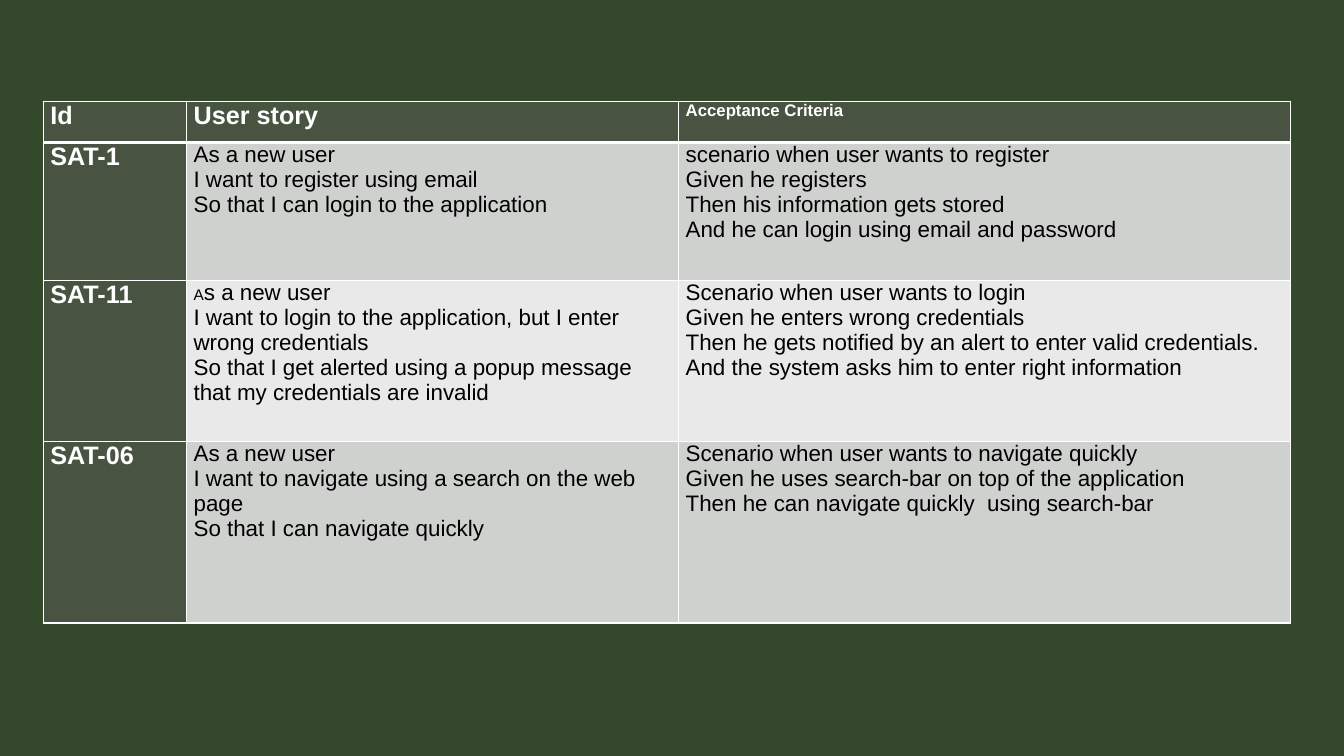
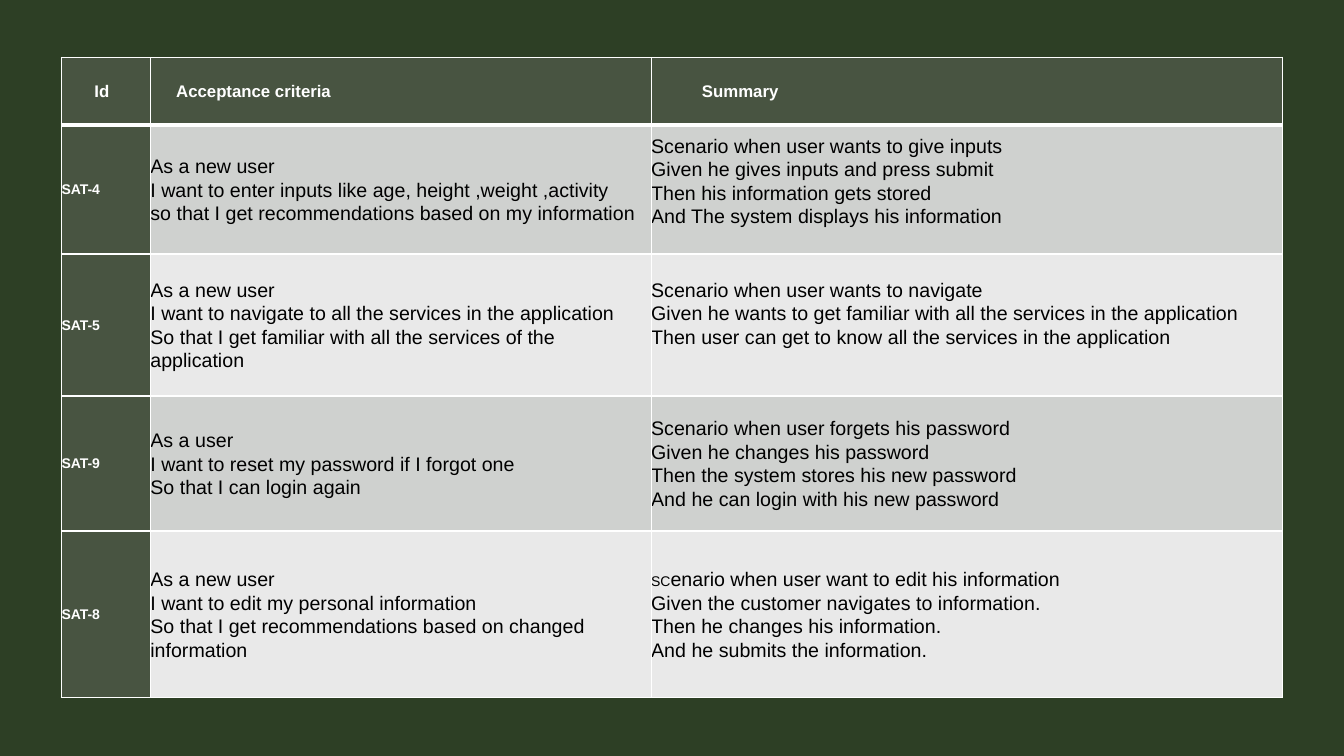
from itertools import product

from lxml.etree import SubElement
from pptx import Presentation
from pptx.dml.color import RGBColor
from pptx.enum.text import MSO_VERTICAL_ANCHOR as Anchor
from pptx.oxml.ns import qn
from pptx.util import Cm, Pt

FONT = "Arial"
WHITE = "FFFFFF"
BLACK = "000000"
DARK = "485441"
BANDS = ("CFD1CF", "E9E9E9")
THIN, THICK = 1, 3


def color(hex_value):
    return RGBColor.from_string(hex_value)


def set_all(target, values):
    for name, value in values.items():
        setattr(target, name, value)


class StoryDeck:
    def __init__(self):
        self.presentation = Presentation()
        set_all(self.presentation, {"slide_width": Cm(33.87), "slide_height": Cm(19.05)})
        self.slide = None

    def add_slide(self, background):
        self.slide = self.presentation.slides.add_slide(self.presentation.slide_layouts[6])
        fill = self.slide.background.fill
        fill.solid()
        fill.fore_color.rgb = color(background)

    def add_run(self, paragraph, text, size, bold, text_color):
        run = paragraph.add_run()
        run.text = text
        set_all(run.font, {"name": FONT, "size": Pt(size), "bold": bold})
        run.font.color.rgb = color(text_color)

    def add_text(self, cell, lines, size, prefix_size, bold, text_color, line_spacing):
        for index, line in enumerate(lines):
            frame = cell.text_frame
            paragraph = frame.add_paragraph() if index else frame.paragraphs[0]
            paragraph.line_spacing = line_spacing
            prefix, text = line if isinstance(line, tuple) else ("", line)
            if prefix:
                self.add_run(paragraph, prefix, prefix_size, bold, text_color)
            self.add_run(paragraph, text, size, bold, text_color)

    def add_borders(self, cell, top, bottom):
        properties = cell._tc.get_or_add_tcPr()
        widths = {"a:lnL": THIN, "a:lnR": THIN, "a:lnT": top, "a:lnB": bottom}
        for index, (tag, width) in enumerate(widths.items()):
            line = SubElement(properties, qn(tag), w=str(Pt(width)))
            fill = SubElement(line, qn("a:solidFill"))
            SubElement(fill, qn("a:srgbClr"), val=WHITE)
            properties.insert(index, line)

    def add_table(self, rows, left, top, widths, heights, sizes, header_sizes,
                  margins, cell_format, line_spacing=1.0):
        frame = self.slide.shapes.add_table(
            len(rows), len(widths), Cm(left), Cm(top), Cm(sum(widths)), Cm(sum(heights)))
        table = frame.table
        set_all(table, {"first_row": False, "horz_banding": False})
        for column, width in zip(table.columns, widths):
            column.width = Cm(width)
        for row, height in zip(table.rows, heights):
            row.height = Cm(height)
        for row, column in product(range(len(rows)), range(len(widths))):
            cell = table.cell(row, column)
            is_label = row == 0 or column == 0
            size = header_sizes[column] if row == 0 else sizes["label" if is_label else "body"]
            set_all(cell, {"margin_top": 0, "margin_bottom": 0, **cell_format,
                           **margins.get((row, column), {})})
            cell.fill.solid()
            cell.fill.fore_color.rgb = color(DARK if is_label else BANDS[(row - 1) % 2])
            self.add_borders(cell, THICK if row == 1 else THIN, THICK if row == 0 else THIN)
            self.add_text(cell, rows[row][column], size, sizes["prefix"], is_label,
                          WHITE if is_label else BLACK, line_spacing)


ACCESS_STORIES = [
    (["Id"], ["User story"], ["Acceptance Criteria"]),
    (["SAT-1"],
     ["As a new user",
      "I want to register using email",
      "So that I can login to the application"],
     ["scenario when user wants to register",
      "Given he registers",
      "Then his information gets stored",
      "And he can login using email and password"]),
    (["SAT-11"],
     [("A", "s a new user"),
      "I want to login to the application, but I enter wrong credentials",
      "So that I get alerted using a popup message that my credentials are invalid"],
     ["Scenario when user wants to login",
      "Given he enters wrong credentials",
      "Then he gets notified by an alert to enter valid credentials.",
      "And the system asks him to enter right information"]),
    (["SAT-06"],
     ["As a new user",
      "I want to navigate using a search on the web page",
      "So that I can navigate quickly"],
     ["Scenario when user wants to navigate quickly",
      "Given he uses search-bar on top of the application",
      "Then he can navigate quickly  using search-bar"]),
]

PROFILE_STORIES = [
    (["Id"], ["Acceptance criteria"], ["Summary"]),
    (["SAT-4"],
     ["As a new user",
      "I want to enter inputs like age, height ,weight ,activity",
      "so that I get recommendations based on my information"],
     ["Scenario when user wants to give inputs",
      "Given he gives inputs and press submit",
      "Then his information gets stored",
      "And The system displays his information"]),
    (["SAT-5"],
     ["As a new user",
      "I want to navigate to all the services in the application",
      "So that I get familiar with all the services of the application"],
     ["Scenario when user wants to navigate",
      "Given he wants to get familiar with all the services in the application",
      "Then user can get to know all the services in the application"]),
    (["SAT-9"],
     ["As a user",
      "I want to reset my password if I forgot one",
      "So that I can login again"],
     ["Scenario when user forgets his password",
      "Given he changes his password",
      "Then the system stores his new password",
      "And he can login with his new password"]),
    (["SAT-8"],
     ["As a new user",
      "I want to edit my personal information",
      "So that I get recommendations based on changed information"],
     [("SC", "enario when user want to edit his information"),
      "Given the customer navigates to information.",
      "Then he changes his information.",
      "And he submits the information."]),
]


def main():
    deck = StoryDeck()

    deck.add_slide("34492B")
    deck.add_table(
        ACCESS_STORIES, left=1.09, top=2.55,
        widths=(3.61, 12.4, 15.42), heights=(1.04, 3.48, 4.06, 4.57),
        sizes={"label": 18, "body": 16, "prefix": 11}, header_sizes=(18, 18, 12),
        margins={},
        cell_format={"margin_left": Cm(0.18), "margin_right": Cm(0.18),
                     "vertical_anchor": Anchor.TOP})

    deck.add_slide("2D3F25")
    deck.add_table(
        PROFILE_STORIES, left=1.55, top=1.45,
        widths=(2.24, 12.62, 15.9), heights=(1.7, 3.25, 3.58, 3.4, 4.2),
        sizes={"label": 10, "body": 14, "prefix": 10}, header_sizes=(12, 12, 12),
        margins={(0, 0): {"margin_left": Cm(0.83)},
                 (0, 1): {"margin_left": Cm(0.65)},
                 (0, 2): {"margin_left": Cm(1.28)},
                 (1, 2): {"margin_bottom": Cm(0.43)},
                 (2, 2): {"margin_bottom": Cm(0.6)}},
        cell_format={"margin_left": 0, "margin_right": 0,
                     "vertical_anchor": Anchor.MIDDLE},
        line_spacing=1.07)

    deck.presentation.save("out.pptx")


if __name__ == "__main__":
    main()
